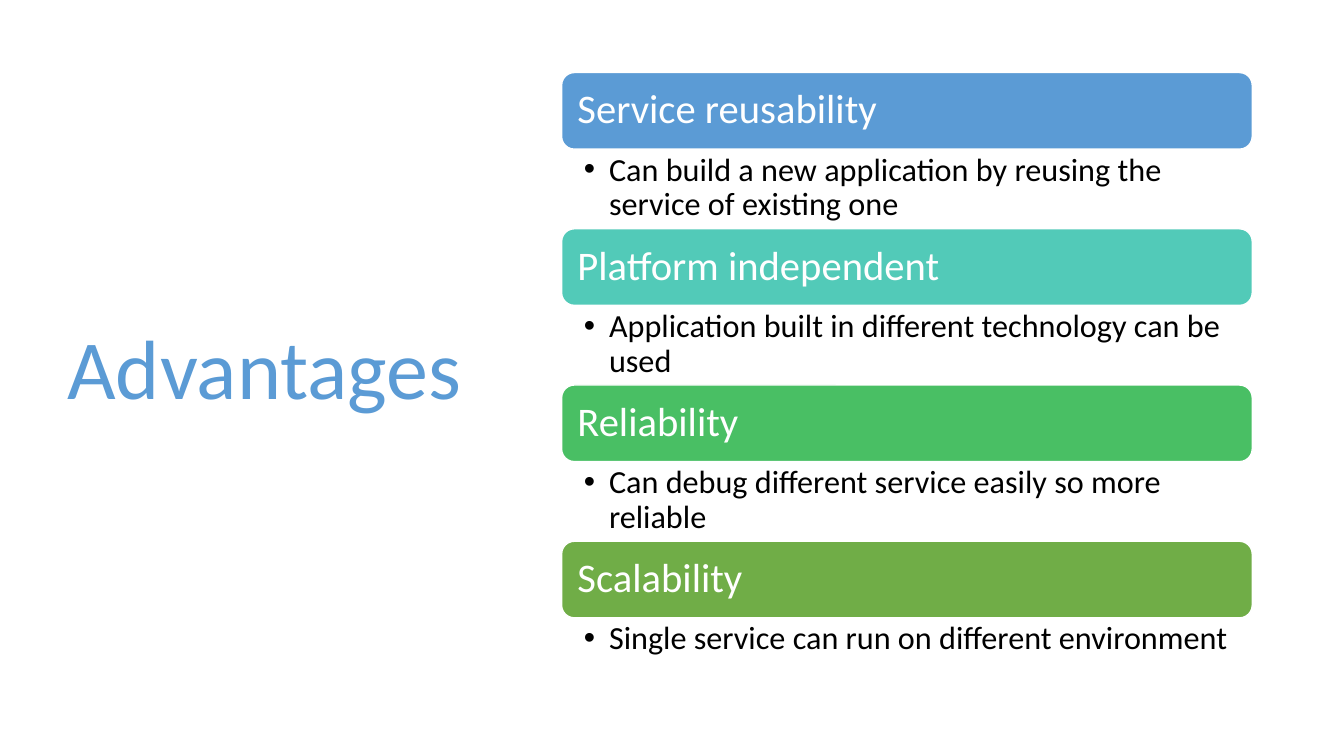
from pptx import Presentation
from pptx.dml.color import RGBColor
from pptx.enum.shapes import MSO_SHAPE as Preset
from pptx.enum.text import MSO_ANCHOR as Anchor, PP_ALIGN as Align
from pptx.oxml.ns import qn
from pptx.util import Inches, Pt
from lxml.etree import SubElement

COLORS = {
    "blue": "5B9BD5",
    "teal": "52CAB8",
    "green": "49BF64",
    "olive": "70AD47",
    "white": "FFFFFF",
    "black": "000000",
}
FONT = "Calibri"
ADVANTAGES = [
    ("Service reusability", "Can build a new application by reusing the service of existing one", "blue"),
    ("Platform independent", "Application built in different technology can be used", "teal"),
    ("Reliability", "Can debug different service easily so more reliable", "green"),
    ("Scalability", "Single service can run on different environment", "olive"),
]
ROW_PITCH = 1.55
BAR_HEIGHT = 0.76


def color(name):
    return RGBColor.from_string(COLORS[name])


def write_text(shape, text, size, fill, anchor=Anchor.MIDDLE, insets=(0.1, 0.05, 0.1, 0.05), bullet=False):
    frame = shape.text_frame
    frame.word_wrap = True
    frame.vertical_anchor = anchor
    frame.margin_left, frame.margin_top, frame.margin_right, frame.margin_bottom = map(Inches, insets)
    paragraph = frame.paragraphs[0]
    paragraph.alignment = Align.LEFT
    paragraph.line_spacing = 0.9
    run = paragraph.add_run()
    run.text = text
    run.font.name = FONT
    run.font.size = Pt(size)
    run.font.color.rgb = color(fill)
    if bullet:
        properties = paragraph._p.get_or_add_pPr()
        properties.set("marL", str(Inches(0.25)))
        properties.set("indent", str(Inches(-0.25)))
        SubElement(properties, qn("a:buFont"), typeface="Arial")
        SubElement(properties, qn("a:buChar"), char="•")


def add_title(slide, left, top, width, height):
    title = slide.shapes.add_textbox(*map(Inches, (left, top, width, height)))
    write_text(title, "Advantages", 60, "blue")


def add_advantage(slide, left, top, width, height, heading, detail, fill):
    bar = slide.shapes.add_shape(Preset.ROUNDED_RECTANGLE, *map(Inches, (left, top, width, BAR_HEIGHT)))
    bar.shadow.inherit = False
    bar.fill.solid()
    bar.fill.fore_color.rgb = color(fill)
    bar.line.color.rgb = color("white")
    bar.line.width = Pt(1)
    write_text(bar, heading, 29, "white", insets=(0.12, 0.12, 0.12, 0.12))

    box = (left, top + BAR_HEIGHT, width, height - BAR_HEIGHT)
    detail_box = slide.shapes.add_textbox(*map(Inches, box))
    write_text(detail_box, detail, 23, "black", anchor=Anchor.TOP, insets=(0.22, 0.04, 0.23, 0.04), bullet=True)


def add_advantage_list(slide, left, top, width):
    for row, (heading, detail, fill) in enumerate(ADVANTAGES):
        add_advantage(slide, left, top + row * ROW_PITCH, width, ROW_PITCH, heading, detail, fill)


def main():
    presentation = Presentation()
    presentation.slide_width = Inches(13.33)
    presentation.slide_height = Inches(7.5)
    slide = presentation.slides.add_slide(presentation.slide_layouts[6])
    add_title(slide, 0.57, 0.68, 4.16, 6.02)
    add_advantage_list(slide, 5.57, 0.72, 6.85)
    presentation.save("out.pptx")


if __name__ == "__main__":
    main()
